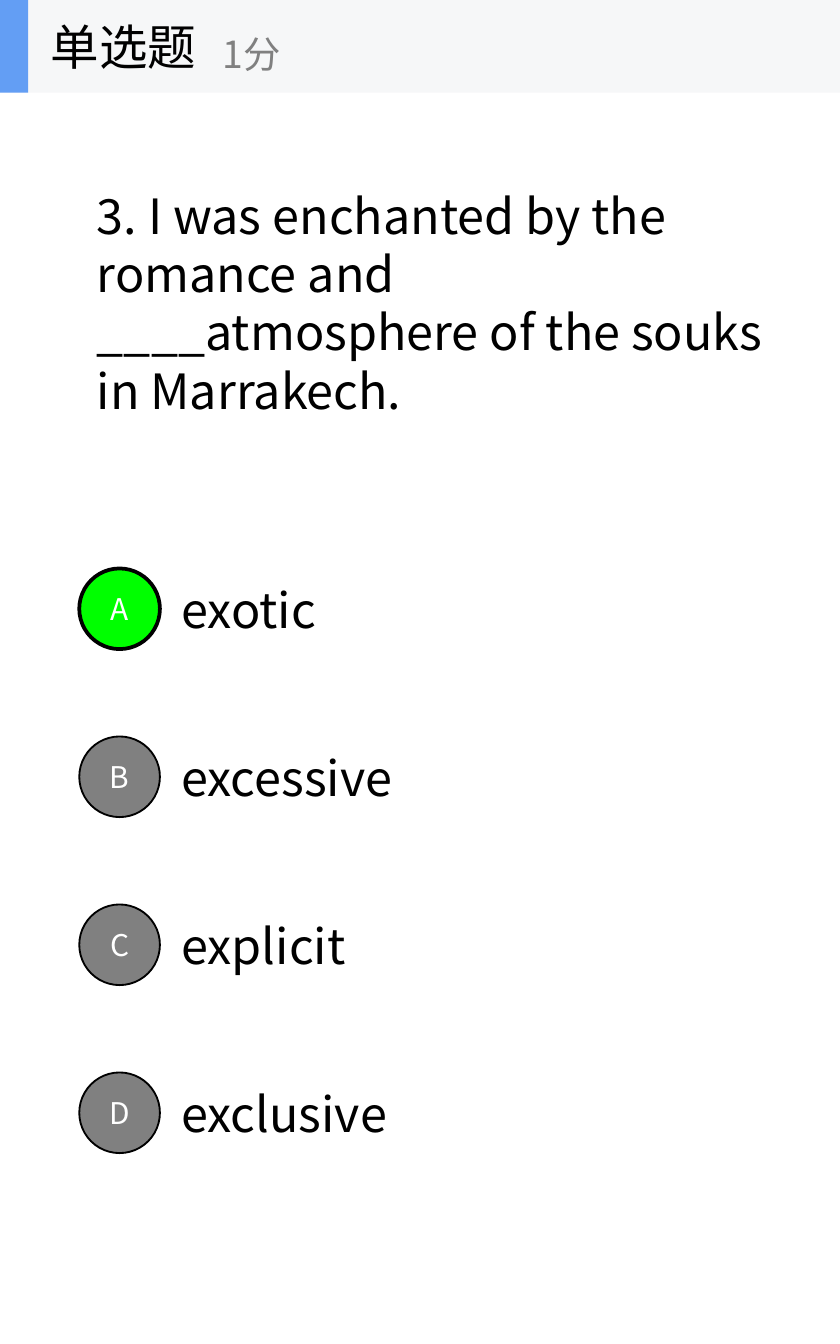
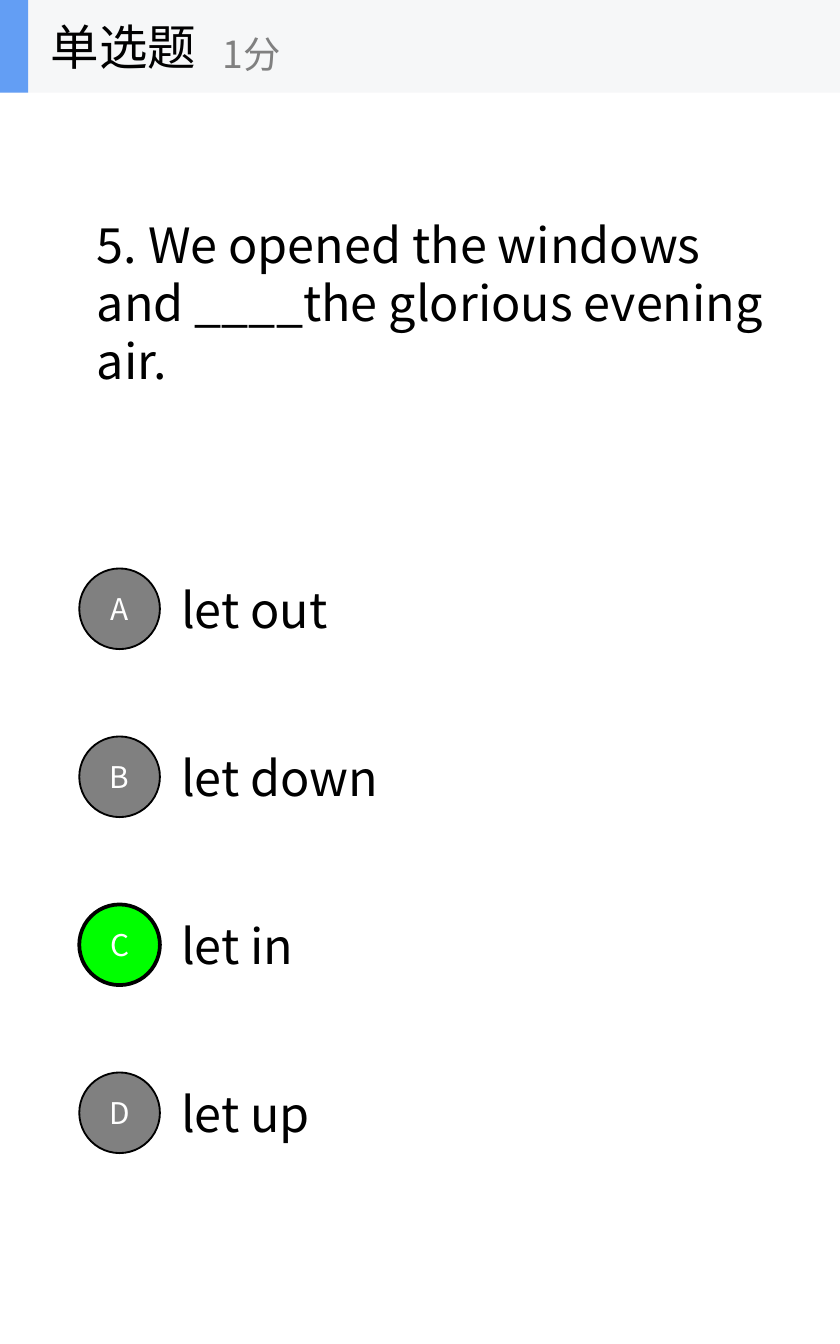
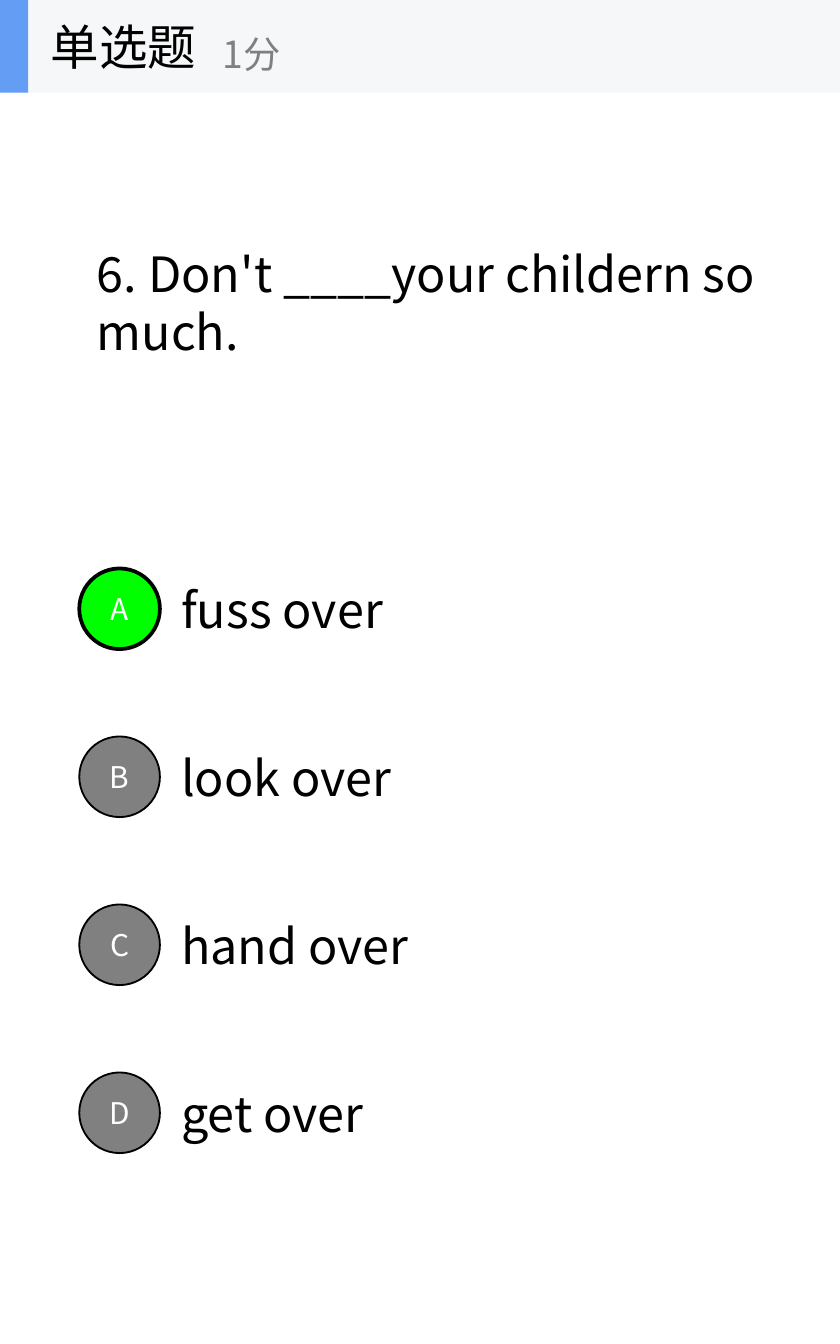
"""Build three single-choice quiz slides with a shared header and option rows."""
from pptx import Presentation
from pptx.dml.color import RGBColor
from pptx.enum.shapes import MSO_SHAPE
from pptx.enum.text import MSO_ANCHOR, MSO_AUTO_SIZE, PP_ALIGN
from pptx.oxml.ns import qn
from pptx.util import Inches, Pt

OVAL, RECTANGLE = MSO_SHAPE.OVAL, MSO_SHAPE.RECTANGLE
MIDDLE = MSO_ANCHOR.MIDDLE
NO_AUTOFIT = MSO_AUTO_SIZE.NONE
LEFT, CENTER = PP_ALIGN.LEFT, PP_ALIGN.CENTER

FONT = "Noto Sans CJK SC"
COLORS = {
    "text": "000000",
    "muted": "808080",
    "white": "FFFFFF",
    "correct": "00FF00",
    "band": "F6F7F8",
    "accent": "639EF4",
}
SLIDE_WIDTH, SLIDE_HEIGHT = 6.25, 10
HEADER_HEIGHT = 0.69
QUESTION_MIDDLE = 2.25
FIRST_OPTION_TOP, OPTION_STEP = 4.23, 1.25
BADGE_SIZE = 0.6

QUESTIONS = [
    {
        "text": "3. I was enchanted by the romance and ____atmosphere of the souks in Marrakech.",
        "height": 1.41,
        "options": [("exotic", 2.31), ("excessive", 2.44), ("explicit", 1.48), ("exclusive", 2.84)],
        "answer": "A",
    },
    {
        "text": "5. We opened the windows and ____the glorious evening air.",
        "height": 1.41,
        "options": [("let out", 2.31), ("let down", 2.44), ("let in", 1.48), ("let up", 2.84)],
        "answer": "C",
    },
    {
        "text": "6. Don't ____your childern so much.",
        "height": 0.97,
        "options": [("fuss over", 2.31), ("look over", 2.44), ("hand over", 2.67), ("get over", 2.84)],
        "answer": "A",
    },
]


def color(name):
    """Return the named palette colour."""
    return RGBColor.from_string(COLORS[name])


def write_text(box, text, size=26, fill="text", align=LEFT):
    """Write one formatted, vertically centred paragraph into a shape."""
    frame = box.text_frame
    frame.word_wrap = True
    frame.auto_size = NO_AUTOFIT
    frame.vertical_anchor = MIDDLE
    para = frame.paragraphs[0]
    para.alignment = align
    span = para.add_run()
    span.text = text
    span.font.size = Pt(size)
    span.font.name = FONT
    span.font.color.rgb = color(fill)
    east_asian = span.font._element.makeelement(qn("a:ea"), {"typeface": FONT})
    span.font._element.find(qn("a:latin")).addnext(east_asian)


def add_text(shapes, text, left, top, width, height, **style):
    """Add a text box with the given format."""
    box = shapes.add_textbox(Inches(left), Inches(top), Inches(width), Inches(height))
    write_text(box, text, **style)


def add_block(shapes, kind, left, top, width, height, fill, line_width=0):
    """Add a filled preset shape, outlined only when a line width is given."""
    block = shapes.add_shape(kind, Inches(left), Inches(top), Inches(width), Inches(height))
    block.shadow.inherit = False
    block.fill.solid()
    block.fill.fore_color.rgb = color(fill)
    if line_width:
        block.line.color.rgb = color("text")
        block.line.width = Pt(line_width)
    else:
        block.line.fill.background()
    return block


def add_question(page, text, height):
    """Place the question in the title placeholder."""
    title = page.shapes.title
    title.left, title.top = Inches(0.62), Inches(QUESTION_MIDDLE - height / 2)
    title.width, title.height = Inches(5.3), Inches(height)
    write_text(title, text)


def add_option(page, letter, text, width, top, correct):
    """Add an answer text and its lettered badge."""
    add_text(page.shapes, text, 1.25, top + 0.03, width, 0.54)
    badge = add_block(page.shapes, OVAL, 0.59, top, BADGE_SIZE, BADGE_SIZE,
                      "correct" if correct else "muted", line_width=2 if correct else 1)
    write_text(badge, letter, size=16, fill="white", align=CENTER)


def add_header(page):
    """Add the grouped header band with question type and score."""
    shapes = page.shapes.add_group_shape().shapes
    add_block(shapes, RECTANGLE, 0, 0, SLIDE_WIDTH, HEADER_HEIGHT, "band")
    add_block(shapes, RECTANGLE, 0, 0, 0.21, HEADER_HEIGHT, "accent")
    add_text(shapes, "单选题", 0.28, 0, 2.08, HEADER_HEIGHT)
    add_text(shapes, "1分", 1.56, 0.12, 2.5, 0.56, size=20, fill="muted")


def main():
    """Build and save the deck."""
    deck = Presentation()
    deck.slide_width, deck.slide_height = Inches(SLIDE_WIDTH), Inches(SLIDE_HEIGHT)
    title_only = deck.slide_layouts.get_by_name("Title Only")
    for question in QUESTIONS:
        page = deck.slides.add_slide(title_only)
        add_question(page, question["text"], question["height"])
        for row, (letter, (text, width)) in enumerate(zip("ABCD", question["options"])):
            top = FIRST_OPTION_TOP + row * OPTION_STEP
            add_option(page, letter, text, width, top, letter == question["answer"])
        add_header(page)
    deck.save("out.pptx")


if __name__ == "__main__":
    main()
